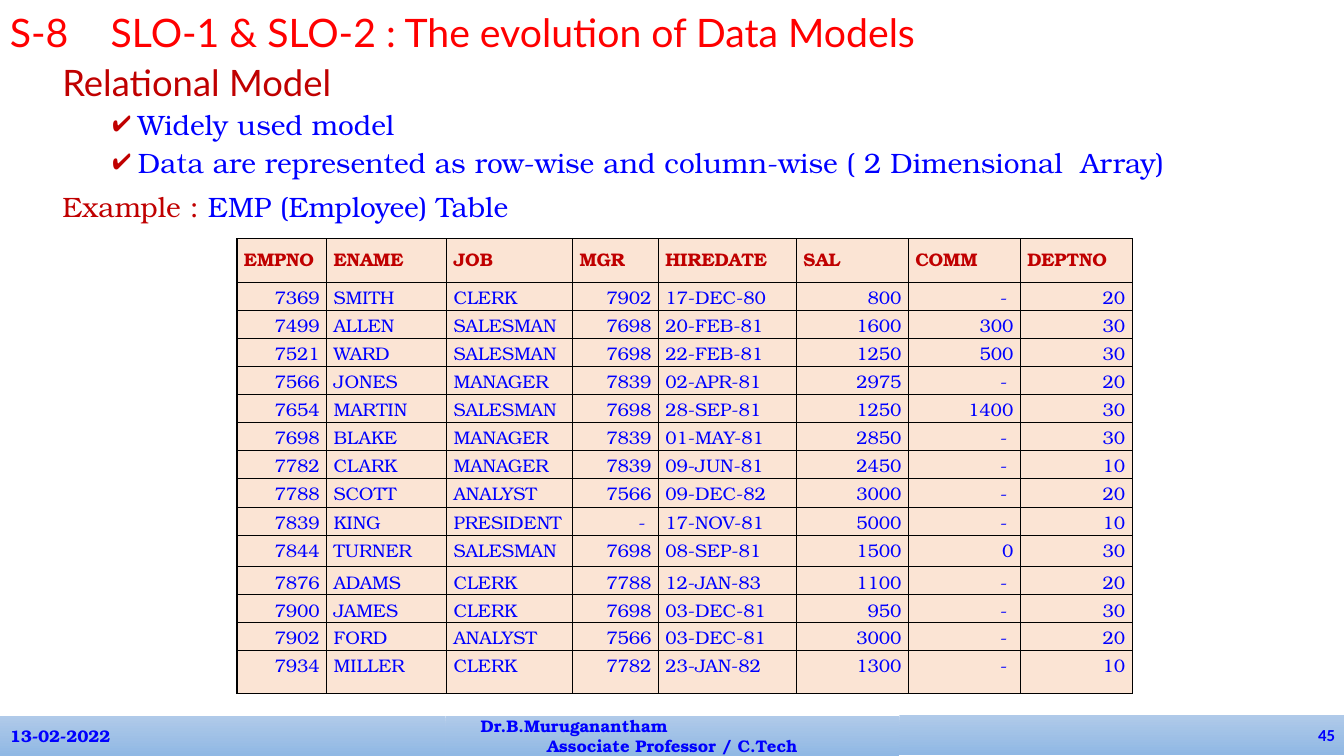
"""Build the relational model slide with its employee table."""
from dataclasses import dataclass

from lxml.etree import SubElement
from pptx import Presentation
from pptx.dml.color import RGBColor
from pptx.enum.shapes import MSO_SHAPE
from pptx.enum.text import MSO_ANCHOR, PP_ALIGN
from pptx.oxml.ns import qn
from pptx.util import Inches, Pt


@dataclass(frozen=True)
class Theme:
    red: str = "FF0000"
    dark: str = "C00000"
    blue: str = "0000FF"
    black: str = "000000"
    peach: str = "FBE4D4"
    light: str = "B0CAE9"
    deep: str = "90B8E4"
    sans: str = "Lato"
    serif: str = "TeX Gyre Bonum"
    plain: str = "Calibri"
    title: int = 28
    head: int = 26
    body: int = 20
    cell: int = 13
    foot: int = 12


theme = Theme()


def write(para, text, color, **form):
    """Add a run of text with the given font values."""
    run = para.add_run()
    run.text = text
    run.font.color.rgb = RGBColor.from_string(color)
    for key, value in form.items():
        setattr(run.font, key, value)


def border(cell):
    """Draw a thin line on each side of a cell, beneath its fill."""
    props = cell._tc.get_or_add_tcPr()
    for spot, side in enumerate(("lnL", "lnR", "lnT", "lnB")):
        line = SubElement(props, qn(f"a:{side}"), w=str(Pt(1)))
        paint = SubElement(line, qn("a:solidFill"))
        SubElement(paint, qn("a:srgbClr"), val=theme.black)
        props.insert(spot, line)


deck = Presentation()
deck.slide_width, deck.slide_height = Inches(13.33), Inches(7.5)
slide = deck.slides.add_slide(deck.slide_layouts[6])
shapes = slide.shapes

title_form = {"name": theme.sans, "size": Pt(theme.title)}
head_form = {"name": theme.sans, "size": Pt(theme.head)}
body_form = {"name": theme.serif, "size": Pt(theme.body)}
cell_form = {"name": theme.serif, "size": Pt(theme.cell)}
foot_form = {"name": theme.serif, "size": Pt(theme.foot), "bold": True}

lines = [
    ([("Relational Model", theme.dark)], head_form, 0, False),
    ([("Widely used model", theme.blue)], body_form, 5, True),
    ([("Data are represented as row-wise and column-wise ( 2 Dimensional  Array)", theme.blue)],
     body_form, 5, True),
    ([("Example : ", theme.dark), ("EMP (Employee) Table", theme.blue)], body_form, 10, False),
]
body = shapes.add_textbox(Inches(0.52), Inches(0.6), Inches(11.6), Inches(1.7)).text_frame
body.word_wrap = True
for num, (runs, form, gap, mark) in enumerate(lines):
    para = body.add_paragraph() if num else body.paragraphs[0]
    para.line_spacing = 0.9
    para.space_before = Pt(gap)
    props = para._p.get_or_add_pPr()
    props.set("marL", str(Inches(0.75 if mark else 0.25)))
    props.set("indent", str(Inches(-0.25)))
    if mark:
        para.level = 1
        tint = SubElement(props, qn("a:buClr"))
        SubElement(tint, qn("a:srgbClr"), val=theme.dark)
        SubElement(props, qn("a:buChar"), char="✔")
    for text, color in runs:
        write(para, text, color, **form)

feet = [
    (0, 7.1, 4.42, [("13-02-2022", PP_ALIGN.LEFT, 0)], theme.serif),
    (4.42, 7.1, 4.5, [("Dr.B.Muruganantham", PP_ALIGN.LEFT, 0.25),
                      ("Associate Professor / C.Tech", PP_ALIGN.CENTER, 0)], theme.serif),
    (8.92, 7.09, 4.42, [("45", PP_ALIGN.RIGHT, 0)], theme.plain),
]
for left, top, width, parts, face in feet:
    bar = shapes.add_shape(MSO_SHAPE.RECTANGLE, Inches(left), Inches(top), Inches(width), Inches(0.4))
    bar.shadow.inherit = False
    bar.line.fill.background()
    bar.fill.gradient()
    bar.fill.gradient_angle = 270
    for stop, color in zip(bar.fill.gradient_stops, (theme.light, theme.deep)):
        stop.color.rgb = RGBColor.from_string(color)
    frame = bar.text_frame
    frame.word_wrap = True
    frame.vertical_anchor = MSO_ANCHOR.MIDDLE
    for num, (text, align, inset) in enumerate(parts):
        para = frame.add_paragraph() if num else frame.paragraphs[0]
        para.alignment = align
        para._p.get_or_add_pPr().set("marL", str(Inches(inset)))
        write(para, text, theme.blue, **{**foot_form, "name": face})

title = shapes.add_textbox(Inches(0), Inches(0.03), Inches(12), Inches(0.57)).text_frame
title.word_wrap = True
write(title.paragraphs[0], "S-8\tSLO-1 & SLO-2 : The evolution of Data Models", theme.red, **title_form)

staff = """EMPNO ENAME JOB MGR HIREDATE SAL COMM DEPTNO
7369 SMITH CLERK 7902 17-DEC-80 800 - 20
7499 ALLEN SALESMAN 7698 20-FEB-81 1600 300 30
7521 WARD SALESMAN 7698 22-FEB-81 1250 500 30
7566 JONES MANAGER 7839 02-APR-81 2975 - 20
7654 MARTIN SALESMAN 7698 28-SEP-81 1250 1400 30
7698 BLAKE MANAGER 7839 01-MAY-81 2850 - 30
7782 CLARK MANAGER 7839 09-JUN-81 2450 - 10
7788 SCOTT ANALYST 7566 09-DEC-82 3000 - 20
7839 KING PRESIDENT - 17-NOV-81 5000 - 10
7844 TURNER SALESMAN 7698 08-SEP-81 1500 0 30
7876 ADAMS CLERK 7788 12-JAN-83 1100 - 20
7900 JAMES CLERK 7698 03-DEC-81 950 - 30
7902 FORD ANALYST 7566 03-DEC-81 3000 - 20
7934 MILLER CLERK 7782 23-JAN-82 1300 - 10"""
rows = [line.split() for line in staff.splitlines()]
widths = [0.89, 1.19, 1.25, 0.85, 1.37, 1.11, 1.11, 1.11]
heights = [0.43, 0.28, 0.26, 0.26, 0.26, 0.28, 0.26, 0.26, 0.29, 0.26, 0.31, 0.27, 0.26, 0.26, 0.43]
words = {"ENAME", "JOB", "HIREDATE"}

grid = shapes.add_table(len(rows), len(widths), Inches(2.35), Inches(2.37),
                        Inches(sum(widths)), Inches(sum(heights))).table
for col, width in zip(grid.columns, widths):
    col.width = Inches(width)
for row, height in zip(grid.rows, heights):
    row.height = Inches(height)
for r, row in enumerate(rows):
    top = r == 0
    pad = Inches(0.07 if top else 0.03)
    look = {"margin_left": Inches(0.07), "margin_right": Inches(0.07),
            "margin_top": pad, "margin_bottom": pad}
    for c, text in enumerate(row):
        cell = grid.cell(r, c)
        for key, value in look.items():
            setattr(cell, key, value)
        cell.fill.solid()
        cell.fill.fore_color.rgb = RGBColor.from_string(theme.peach)
        border(cell)
        para = cell.text_frame.paragraphs[0]
        para.alignment = PP_ALIGN.LEFT if top or rows[0][c] in words else PP_ALIGN.RIGHT
        write(para, "- " if text == "-" else text, theme.dark if top else theme.blue,
              bold=top, **cell_form)

deck.save("out.pptx")
